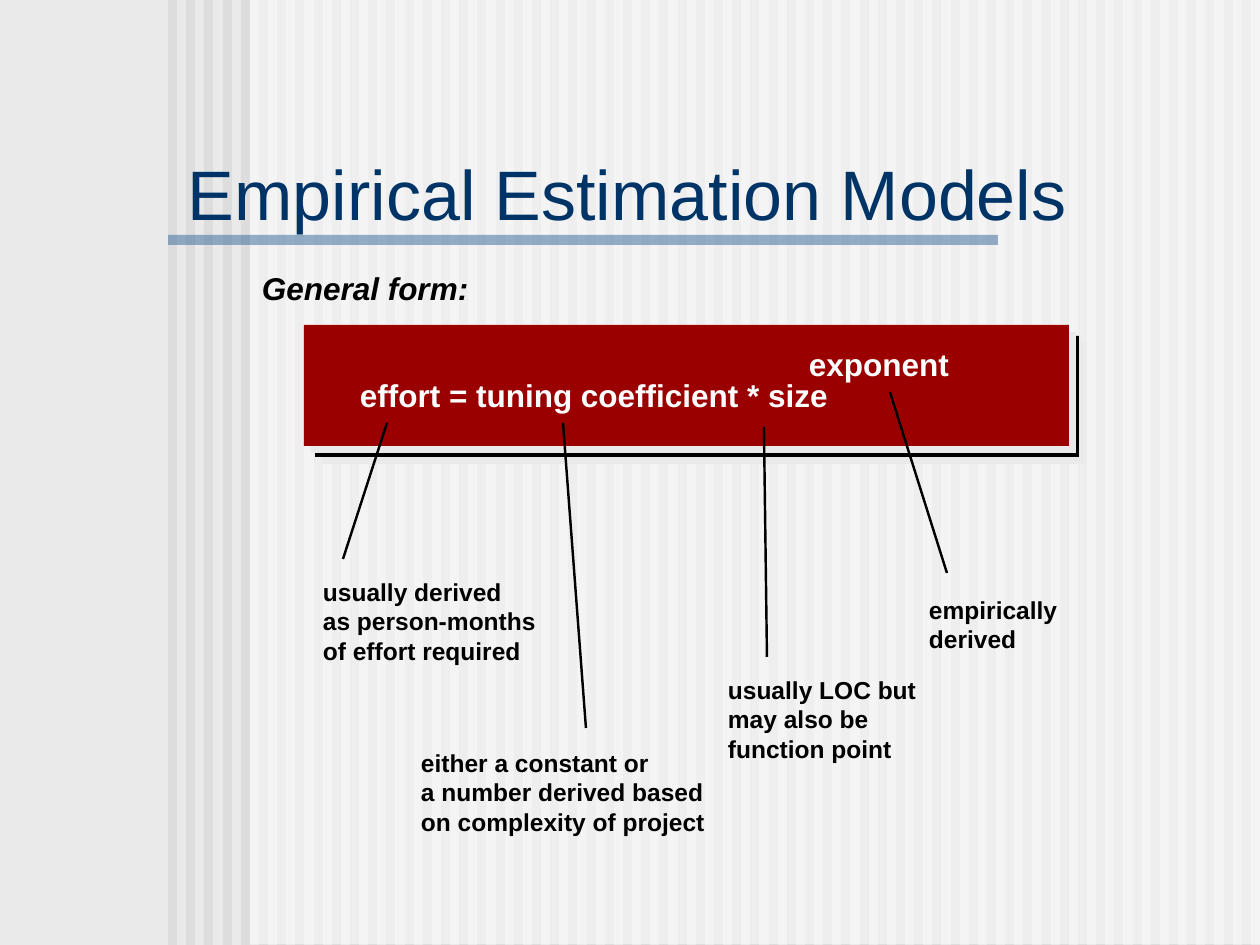
from lxml.etree import SubElement
from pptx import Presentation
from pptx.dml.color import RGBColor
from pptx.enum.shapes import MSO_CONNECTOR, MSO_SHAPE
from pptx.enum.text import MSO_ANCHOR, MSO_AUTO_SIZE, PP_ALIGN
from pptx.oxml.ns import qn
from pptx.util import Emu, Pt

PX = 914400 // 126
WIDTH, HEIGHT = 1260, 945
STRIPES, STRIPE_PITCH = 60, 18.2
SHADOW_OFFSET = 7

FORMULA_LABELS = [
    ("General form:", 262, 273, 215, "000000", True),
    ("effort = tuning coefficient * size", 360, 380, 480, "FFFFFF", False),
    ("exponent", 809, 349, 150, "FFFFFF", False),
]
POINTERS = [
    (387, 423, 343, 559),
    (563, 423, 586, 728),
    (764, 427, 767, 657),
    (890, 392, 947, 573),
]
NOTES = [
    (["usually derived", "as person-months", "of effort required"], 323, 580, 225),
    (["either a constant or", "a number derived based", "on complexity of project"], 421, 751, 300),
    (["usually LOC but", "may also be", "function point"], 728, 678, 200),
    (["empirically", "derived"], 929, 598, 145),
]


def px(*lengths):
    """Turn pixel lengths into EMU."""
    return [Emu(round(n) * PX) for n in lengths]


def color(hex_code):
    """Turn a hex string into a colour."""
    return RGBColor.from_string(hex_code)


def add_rect(s, x, y, w, h, fill, alpha=None):
    """Add a plain rectangle, see-through if alpha is a percentage."""
    sp = s.shapes.add_shape(MSO_SHAPE.RECTANGLE, *px(x, y, w, h))
    sp.shadow.inherit = False
    sp.line.fill.background()
    sp.fill.solid()
    sp.fill.fore_color.rgb = color(fill)
    if alpha is not None:
        clr = sp._element.spPr.find(".//" + qn("a:srgbClr"))
        SubElement(clr, qn("a:alpha"), val=str(alpha * 1000))


def add_panel(s, x, y, w, h, fill):
    """Add a rectangle with a hard pale shadow below and to the right."""
    add_rect(s, x + SHADOW_OFFSET, y + SHADOW_OFFSET, w, h, "EAEAEA")
    add_rect(s, x, y, w, h, fill)


def set_margins(tf, x, y):
    """Set the side and the top and bottom margins of a text frame."""
    tf.margin_left, tf.margin_right, tf.margin_top, tf.margin_bottom = px(x, x, y, y)


def set_font(p, size, hex_code, bold=None, italic=None):
    """Format the font of a whole paragraph."""
    font = p.font
    font.name, font.size = "Arial", Pt(size)
    font.bold, font.italic = bold, italic
    font.color.rgb = color(hex_code)


def add_text(s, lines, x, y, w, size, hex_code="000000", italic=None):
    """Add a bold text box with one paragraph per line."""
    sp = s.shapes.add_textbox(*px(x, y, w, 34 if len(lines) == 1 else 29 * len(lines)))
    tf = sp.text_frame
    tf.word_wrap = True
    tf.auto_size = MSO_AUTO_SIZE.SHAPE_TO_FIT_TEXT
    set_margins(tf, 0, 0)
    tf.text = "\n".join(lines)
    for p in tf.paragraphs:
        p.line_spacing = 0.9
        p.space_after = Pt(1.7)
        set_font(p, size, hex_code, True, italic)


def add_pointer(s, x1, y1, x2, y2):
    """Add a thin black line from a formula term to its note."""
    line = s.shapes.add_connector(MSO_CONNECTOR.STRAIGHT, *px(x1, y1, x2, y2))
    line.line.color.rgb = color("000000")
    line.line.width = Pt(1.39)
    SubElement(line._element.spPr, qn("a:effectLst"))


def add_backdrop(s):
    """Draw the striped backdrop and the bar under the title."""
    s.background.fill.solid()
    s.background.fill.fore_color.rgb = color("EAEAEA")
    for i in range(STRIPES):
        add_rect(s, 168 + i * STRIPE_PITCH, 0, 9, HEIGHT, "DDDDDD")
    add_rect(s, 250, -1, 1010, HEIGHT, "FFFFFF", 50)
    add_rect(s, 168, 235, 830, 10, "336699", 50)


def set_title(s, text):
    """Fill the title placeholder and bring it in front of the backdrop."""
    title = s.shapes.title
    title.left, title.top, title.width, title.height = px(179, 148, 897, 91)
    tf = title.text_frame
    tf.text = text
    tf.word_wrap = True
    tf.vertical_anchor = MSO_ANCHOR.BOTTOM
    set_margins(tf, 9, 4)
    p = tf.paragraphs[0]
    p.alignment = PP_ALIGN.LEFT
    set_font(p, 40, "003366")
    s.shapes._spTree.append(title._element)


def main():
    """Build the slide and save it."""
    prs = Presentation()
    prs.slide_width, prs.slide_height = px(WIDTH, HEIGHT)
    s = prs.slides.add_slide(prs.slide_layouts[5])
    add_backdrop(s)
    add_panel(s, 315, 336, 764, 121, "000000")
    add_panel(s, 304, 325, 765, 121, "9A0000")
    set_title(s, "Empirical Estimation Models")
    for text, x, y, w, hex_code, italic in FORMULA_LABELS:
        add_text(s, [text], x, y, w, 18, hex_code, italic)
    for ends in POINTERS:
        add_pointer(s, *ends)
    for lines, x, y, w in NOTES:
        add_text(s, lines, x, y, w, 14)
    prs.save("out.pptx")


if __name__ == "__main__":
    main()
